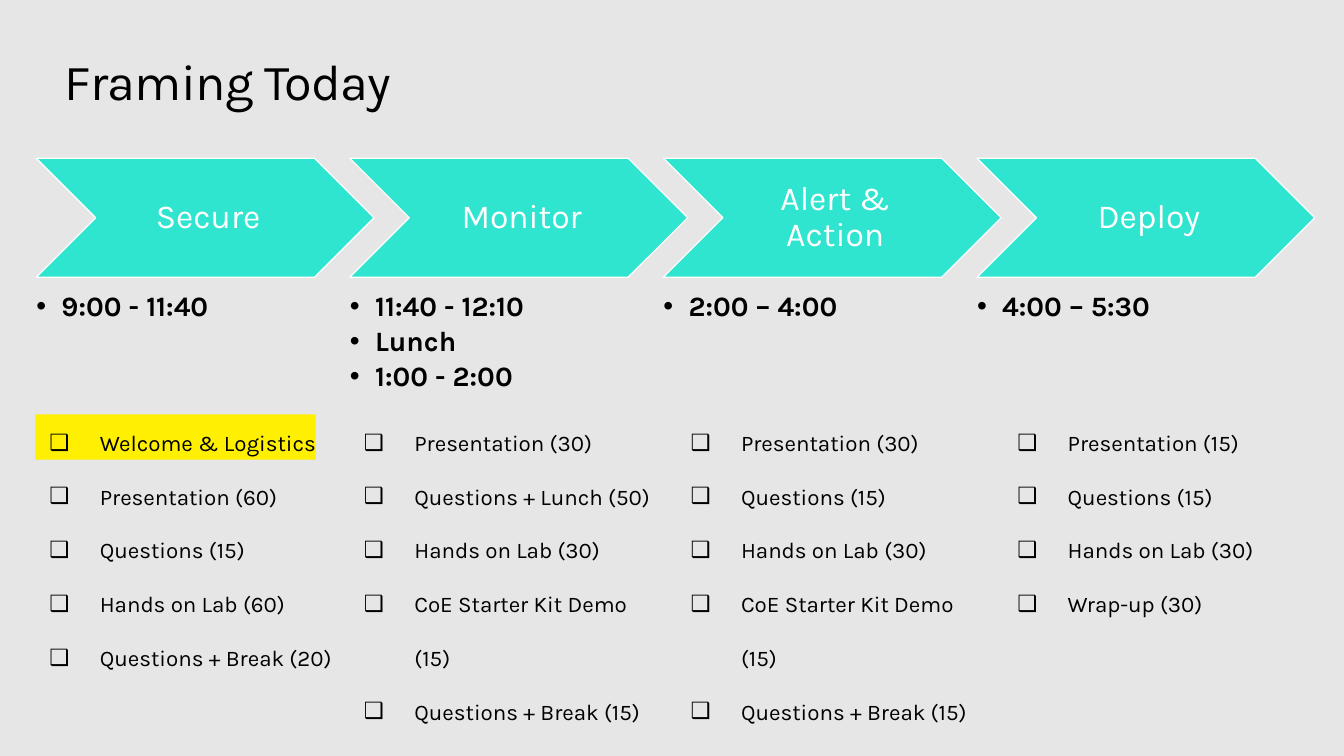
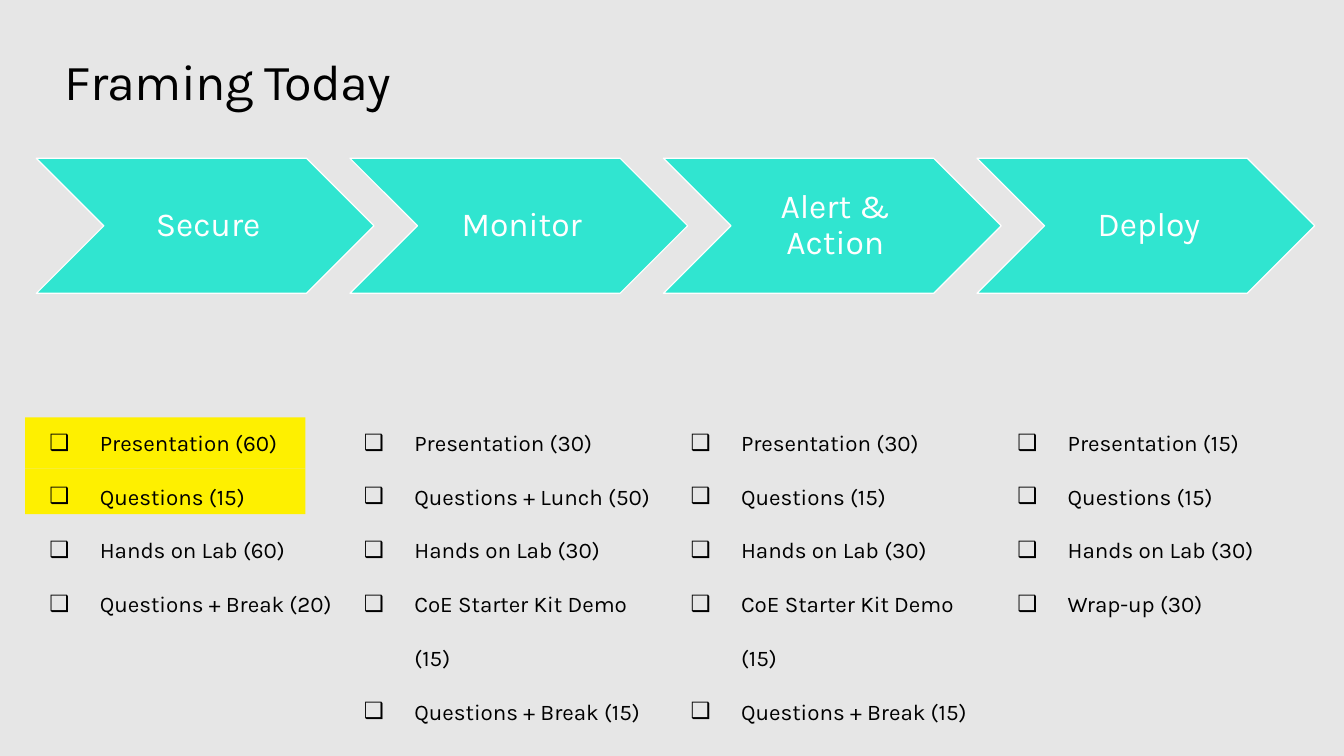
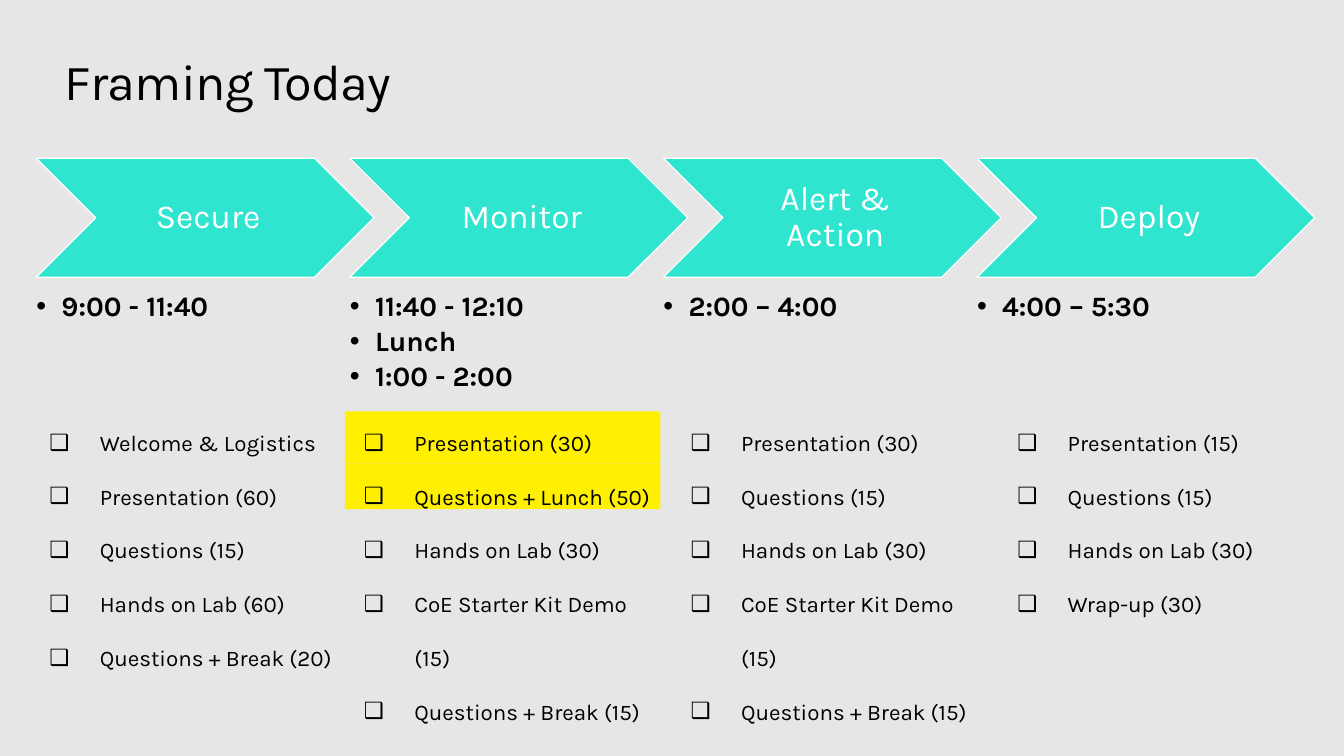
from lxml import etree
from pptx import Presentation
from pptx.dml.color import RGBColor
from pptx.enum.shapes import MSO_SHAPE
from pptx.enum.text import MSO_ANCHOR, MSO_AUTO_SIZE, PP_ALIGN
from pptx.oxml.ns import qn
from pptx.util import Pt

PX = 9144  # 100 px to the inch
FONT = "Karla"
COLORS = {"background": "E6E6E6", "chevron": "30E5D0", "highlight": "FEF000",
          "text": "000000", "light": "FFFFFF"}
CHEVRON, RECTANGLE = MSO_SHAPE.CHEVRON, MSO_SHAPE.RECTANGLE
TOP, MIDDLE = MSO_ANCHOR.TOP, MSO_ANCHOR.MIDDLE
GROW = MSO_AUTO_SIZE.SHAPE_TO_FIT_TEXT
LEFT, CENTER = PP_ALIGN.LEFT, PP_ALIGN.CENTER

TITLE = "Framing Today"
WELCOME = "Welcome & Logistics"
PHASES = [
    {"name": "Secure",
     "times": ["9:00 - 11:40"],
     "agenda": [WELCOME, "Presentation (60)", "Questions (15)",
                "Hands on Lab (60)", "Questions + Break (20)"]},
    {"name": "Monitor",
     "times": ["11:40 - 12:10", "Lunch", "1:00 - 2:00"],
     "agenda": ["Presentation (30)", "Questions + Lunch (50)", "Hands on Lab (30)",
                "CoE Starter Kit Demo (15)", "Questions + Break (15)"]},
    {"name": "Alert & Action",
     "times": ["2:00 – 4:00"],
     "agenda": ["Presentation (30)", "Questions (15)", "Hands on Lab (30)",
                "CoE Starter Kit Demo (15)", "Questions + Break (15)"]},
    {"name": "Deploy",
     "times": ["4:00 – 5:30"],
     "agenda": ["Presentation (15)", "Questions (15)", "Hands on Lab (30)",
                "Wrap-up (30)"]},
]
SLIDES = [
    {"highlights": [(35, 411, 278, 45)],
     "chevron_height": 118, "times": True, "done": []},
    {"highlights": [(25, 465, 278, 45), (25, 414, 278, 51)],
     "chevron_height": 134, "times": False, "done": [WELCOME]},
    {"highlights": [(342, 408, 313, 52), (342, 460, 313, 45)],
     "chevron_height": 118, "times": True, "done": []},
]

TITLE_BOX = (64, 50, 1205, 61)
PHASE_LEFT, PHASE_STEP, CHEVRON_TOP, CHEVRON_WIDTH = 36, 311, 157, 335
TIMES_TOP, TIMES_WIDTH, TIMES_HEIGHT = 290, 268, 113
AGENDA_TOP, AGENDA_ROW = 399, 52
AGENDA_COLUMNS = [(49, 289), (361, 301), (685, 301), (1009, 260)]


def emu(box):
    return [length * PX for length in box]


def set_frame(frame, margins=(0, 0, 0, 0), anchor=TOP):
    frame.word_wrap = True
    frame.vertical_anchor = anchor
    (frame.margin_left, frame.margin_top,
     frame.margin_right, frame.margin_bottom) = emu(margins)


def add_run(paragraph, text, size, color="text", bold=False):
    run = paragraph.add_run()
    run.text = text
    run.font.name = FONT
    run.font.size = Pt(size)
    run.font.bold = bold
    run.font.color.rgb = RGBColor.from_string(COLORS[color])
    return run


def add_block(slide, preset, box, color):
    block = slide.shapes.add_shape(preset, *emu(box))
    block.shadow.inherit = False
    block.fill.solid()
    block.fill.fore_color.rgb = RGBColor.from_string(COLORS[color])
    block.line.fill.background()
    return block


def add_title(slide):
    title = slide.shapes.title
    title.left, title.top, title.width, title.height = emu(TITLE_BOX)
    frame = title.text_frame
    set_frame(frame)
    frame.auto_size = GROW
    paragraph = frame.paragraphs[0]
    paragraph.alignment = LEFT
    run = add_run(paragraph, TITLE, 36)
    run.font._element.set("spc", "-50")


def add_chevron(slide, box, name):
    chevron = add_block(slide, CHEVRON, box, "chevron")
    chevron.line.color.rgb = RGBColor.from_string(COLORS["light"])
    chevron.line.width = Pt(0.85)
    set_frame(chevron.text_frame, (10, 4, 4, 4), MIDDLE)
    paragraph = chevron.text_frame.paragraphs[0]
    paragraph.alignment = CENTER
    paragraph.line_spacing = 0.9
    add_run(paragraph, name, 24, "light")


def add_bullets(slide, box, items, bullet, indent, size, spacing, after=0, bold=False):
    frame = slide.shapes.add_textbox(*emu(box)).text_frame
    set_frame(frame)
    for index, item in enumerate(items):
        paragraph = frame.add_paragraph() if index else frame.paragraphs[0]
        properties = paragraph._p.get_or_add_pPr()
        properties.set("marL", str(indent * PX))
        properties.set("indent", str(-indent * PX))
        etree.SubElement(properties, qn("a:buFont")).set("typeface", "Arial")
        etree.SubElement(properties, qn("a:buChar")).set("char", bullet)
        paragraph.line_spacing = spacing
        paragraph.space_after = Pt(after)
        add_run(paragraph, item, size, bold=bold)
    return frame


def build_slide(prs, content):
    slide = prs.slides.add_slide(prs.slide_layouts[5])
    for box in content["highlights"]:
        add_block(slide, RECTANGLE, box, "highlight")
    add_title(slide)
    for index, phase in enumerate(PHASES):
        left = PHASE_LEFT + index * PHASE_STEP
        add_chevron(slide, (left, CHEVRON_TOP, CHEVRON_WIDTH, content["chevron_height"]),
                    phase["name"])
        if content["times"]:
            add_bullets(slide, (left, TIMES_TOP, TIMES_WIDTH, TIMES_HEIGHT),
                        phase["times"], "•", 25, 20, 0.9, after=3.5, bold=True)
    for phase, (left, width) in zip(PHASES, AGENDA_COLUMNS):
        agenda = [item for item in phase["agenda"] if item not in content["done"]]
        box = (left, AGENDA_TOP, width, AGENDA_ROW * len(agenda))
        add_bullets(slide, box, agenda, "❑", 50, 16, 2.0).auto_size = GROW


def main():
    prs = Presentation()
    prs.slide_width, prs.slide_height = emu((1333, 750))
    background = prs.slide_master.background.fill
    background.solid()
    background.fore_color.rgb = RGBColor.from_string(COLORS["background"])
    for content in SLIDES:
        build_slide(prs, content)
    prs.save("out.pptx")


if __name__ == "__main__":
    main()
